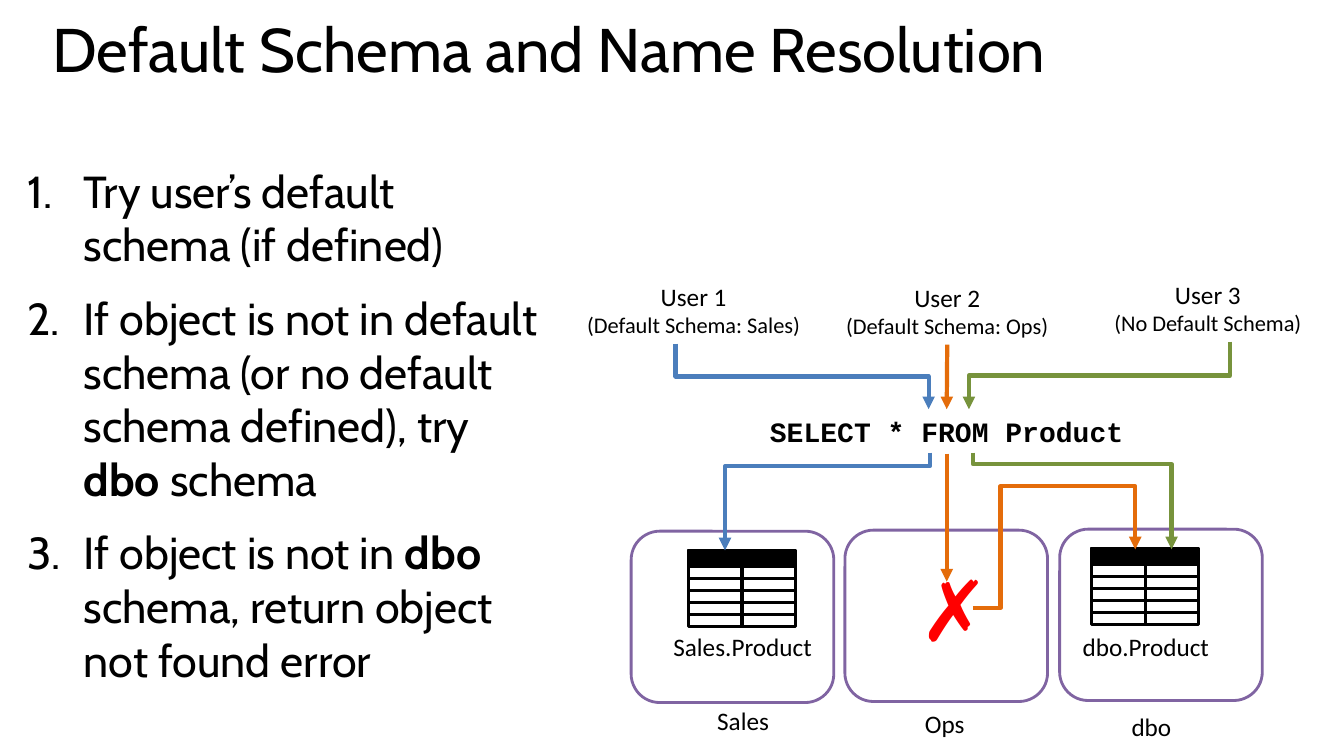
from pptx import Presentation
from pptx.dml.color import RGBColor
from pptx.enum.shapes import MSO_CONNECTOR as CONN, MSO_SHAPE as SHAPE
from pptx.enum.text import MSO_ANCHOR, MSO_AUTO_SIZE, PP_ALIGN
from pptx.oxml.ns import qn
from pptx.util import Inches, Pt
from lxml.etree import SubElement

COLORS = {"black": "000000", "white": "FFFFFF", "purple": "8064A2", "blue": "4B7EBC",
          "orange": "E46C0A", "green": "77933C", "red": "FF0000"}

STEPS = [
    [("Try user’s default schema (if defined)", False)],
    [("If object is not in default schema (or no default schema defined), try ", False),
     ("dbo", True), (" schema", False)],
    [("If object is not in ", False), ("dbo", True),
     (" schema, return object not found error", False)],
]


def rgb(name):
    return RGBColor.from_string(COLORS[name])


def style(r, size, font, color="black", bold=False):
    r.font.size, r.font.name, r.font.bold = Pt(size), font, bold
    r.font.color.rgb = rgb(color)


def place(sp, left, top, width, height):
    sp.left, sp.top, sp.width, sp.height = map(Inches, (left, top, width, height))


def add_title(slide, text, box):
    sp = slide.shapes.title
    place(sp, *box)
    tf = sp.text_frame
    tf.text = text
    tf.vertical_anchor, tf.auto_size = MSO_ANCHOR.TOP, MSO_AUTO_SIZE.NONE
    p = tf.paragraphs[0]
    p.alignment, p.line_spacing = PP_ALIGN.LEFT, 0.8
    style(p.runs[0], 44, "Cabin")


def add_steps(slide, steps, box):
    sp = slide.placeholders[1]
    place(sp, *box)
    tf = sp.text_frame
    tf.auto_size = MSO_AUTO_SIZE.NONE
    for i, step in enumerate(steps):
        p = tf.add_paragraph() if i else tf.paragraphs[0]
        pPr = p._p.get_or_add_pPr()
        pPr.set("marL", str(Inches(0.56)))
        pPr.set("indent", str(-Inches(0.56)))
        SubElement(pPr, qn("a:buFont"), typeface="+mj-lt")
        SubElement(pPr, qn("a:buAutoNum"), type="arabicPeriod")
        p.space_before = Pt(14 if i else 0)
        for text, bold in step:
            r = p.add_run()
            r.text = text
            style(r, 32, "Cabin", bold=bold)


def add_label(slide, text, box, sizes=(18,), font="Calibri", color="black", bold=False):
    """Centred unwrapped text, one size for each line."""
    sp = slide.shapes.add_textbox(*map(Inches, box))
    tf = sp.text_frame
    tf.text = text
    tf.word_wrap = False
    tf.auto_size = MSO_AUTO_SIZE.SHAPE_TO_FIT_TEXT
    for p, size in zip(tf.paragraphs, sizes):
        p.alignment = PP_ALIGN.CENTER
        style(p.runs[0], size, font, color, bold)
    return sp


def add_box(slide, kind, box, fill, line):
    sp = slide.shapes.add_shape(kind, *map(Inches, box))
    sp.shadow.inherit = False
    sp.fill.solid()
    sp.fill.fore_color.rgb = rgb(fill)
    sp.line.color.rgb = rgb(line)
    sp.line.width = Pt(2)
    return sp


def add_line(slide, start, end, color, width=3, kind=CONN.STRAIGHT, arrow=True):
    cx = slide.shapes.add_connector(kind, *map(Inches, (*start, *end)))
    cx.line.color.rgb = rgb(color)
    cx.line.width = Pt(width)
    if arrow:
        SubElement(cx.line._get_or_add_ln(), qn("a:tailEnd"), type="triangle")
    SubElement(cx._element.spPr, qn("a:effectLst"))
    return cx


def set_bends(cx, preset, *adjusts):
    geom = cx._element.spPr.find(qn("a:prstGeom"))
    geom.set("prst", preset)
    guides = geom.find(qn("a:avLst"))
    if guides is None:
        guides = SubElement(geom, qn("a:avLst"))
    for i, value in enumerate(adjusts, 1):
        SubElement(guides, qn("a:gd"), name=f"adj{i}", fmla=f"val {round(value * 100000)}")


def add_drop(slide, start, end, color, bend):
    """Elbow arrow that leaves downwards, runs sideways and ends downwards."""
    (x1, y1), (x2, y2) = start, end
    cx = add_line(slide, start, end, color, kind=CONN.ELBOW)
    set_bends(cx, "bentConnector3", bend)
    run, drop = abs(x2 - x1), y2 - y1
    place(cx, (x1 + x2 - drop) / 2, (y1 + y2 - run) / 2, drop, run)
    xfrm = cx._element.spPr.find(qn("a:xfrm"))
    xfrm.attrib.pop("flipH", None)
    if x2 > x1:
        xfrm.set("flipH", "1")
    xfrm.set("rot", str((270 if x2 > x1 else 90) * 60000))


def add_table_icon(slide, left, top):
    rows = [add_box(slide, SHAPE.RECTANGLE, (left, top, 1.06, 0.16 + 0.12 * n),
                    "white" if n else "black", "black") for n in range(5, -1, -1)]
    middle = left + 0.53
    divider = add_line(slide, (middle, top + 0.76), (middle, top), "black", 2.25, arrow=False)
    divider.begin_connect(rows[0], 2)
    divider.end_connect(rows[0], 0)


def add_schema(slide, name, left, top, name_box, table=None):
    """Schema frame with its name below and, if given, a table at an offset inside."""
    add_box(slide, SHAPE.ROUNDED_RECTANGLE, (left, top, 2.01, 1.7), "white", "purple")
    add_label(slide, name, name_box)
    if table:
        dx, label_left, label_width = table
        add_table_icon(slide, left + dx, top + 0.19)
        add_label(slide, f"{name}.Product", (label_left, 6.21, label_width, 0.4))


def add_diagram(slide):
    add_schema(slide, "Sales", 6.26, 5.27, (7.01, 6.95, 0.72, 0.4), (0.57, 6.57, 1.59))
    add_schema(slide, "Ops", 8.38, 5.26, (9.07, 6.98, 0.6, 0.4))
    add_schema(slide, "dbo", 10.51, 5.25, (11.12, 7.01, 0.6, 0.4), (0.32, 10.63, 1.47))

    users = [add_label(slide, f"User {n}\n({schema})", box, (18, 16))
             for n, (schema, box) in enumerate([
                 ("Default Schema: Sales", (5.71, 2.74, 2.34, 0.67)),
                 ("Default Schema: Ops", (8.28, 2.75, 2.23, 0.67)),
                 ("No Default Schema", (10.94, 2.72, 2.08, 0.67))], 1)]
    query = add_label(slide, "SELECT * FROM Product", (7.52, 4.06, 3.74, 0.44),
                      (20,), "Courier New", bold=True)
    add_label(slide, "✗", (9.02, 5.48, 0.74, 1.11), (60,), color="red")

    add_drop(slide, (6.7, 3.41), (9.21, 4.06), "blue", 0.5)
    add_drop(slide, (9.22, 4.49), (7.19, 5.46), "blue", 0.14)
    add_drop(slide, (12.2, 3.39), (9.61, 4.06), "green", 0.5)
    add_drop(slide, (9.65, 4.49), (11.62, 5.45), "green", 0.12)

    ask = add_line(slide, (9.39, 3.42), (9.39, 4.06), "orange")
    ask.begin_connect(users[1], 2)
    ask.end_connect(query, 0)
    miss = add_line(slide, (9.39, 4.5), (9.39, 5.77), "orange")
    miss.begin_connect(query, 2)
    retry = add_line(slide, (9.65, 6.03), (11.26, 5.45), "orange", kind=CONN.ELBOW)
    set_bends(retry, "bentConnector4", 0.17, 2.08)


def main():
    prs = Presentation()
    prs.slide_width, prs.slide_height = Inches(13.33), Inches(7.5)
    slide = prs.slides.add_slide(prs.slide_layouts[1])
    add_title(slide, "Default Schema and Name Resolution", (0.42, 0.2, 12.6, 1.16))
    add_steps(slide, STEPS, (0.17, 1.57, 5.31, 5.79))
    add_diagram(slide)
    prs.save("out.pptx")


if __name__ == "__main__":
    main()
